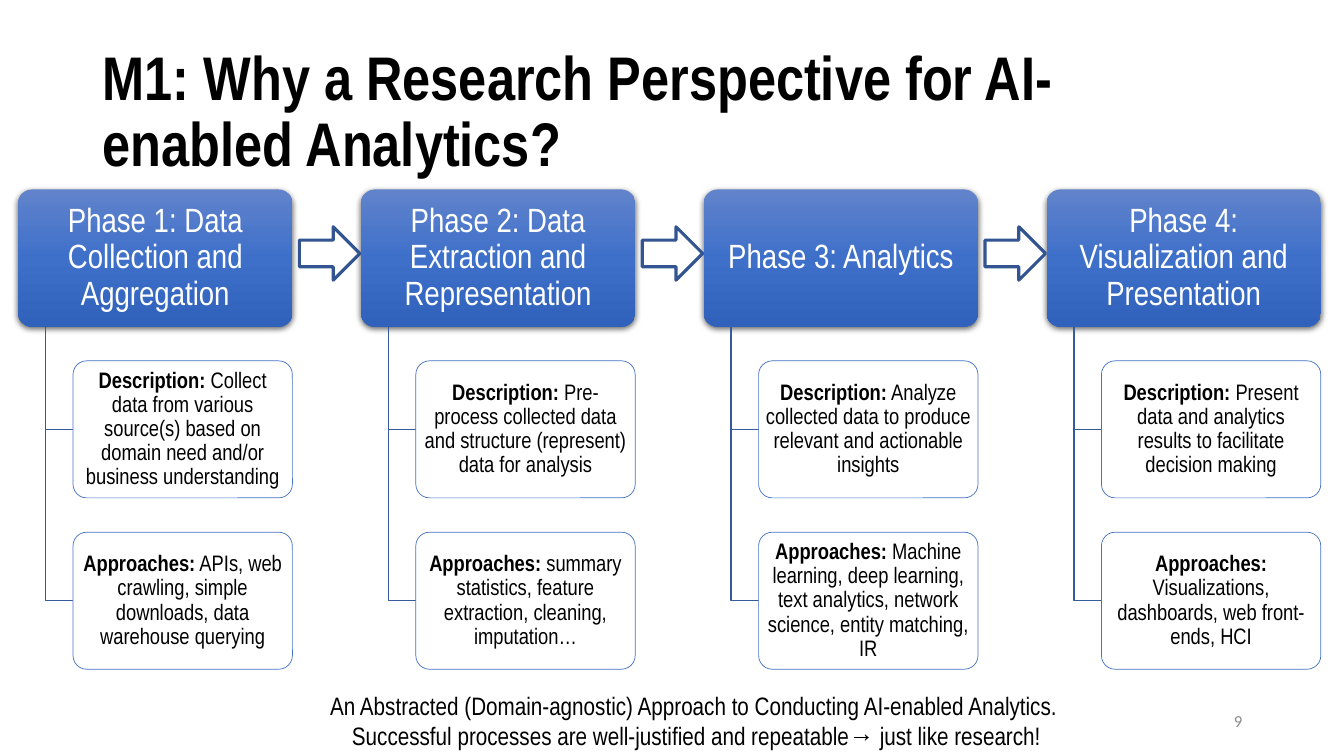
from lxml import etree
from pptx import Presentation
from pptx.dml.color import RGBColor
from pptx.enum.shapes import MSO_SHAPE
from pptx.enum.text import MSO_ANCHOR, PP_ALIGN
from pptx.oxml.ns import qn
from pptx.util import Inches, Pt

ROUNDED, ARROW = MSO_SHAPE.ROUNDED_RECTANGLE, MSO_SHAPE.RIGHT_ARROW
TOP, MIDDLE = MSO_ANCHOR.TOP, MSO_ANCHOR.MIDDLE
LEFT, CENTER, RIGHT = PP_ALIGN.LEFT, PP_ALIGN.CENTER, PP_ALIGN.RIGHT

UNIT = 0.34
GRID_LEFT, GRID_TOP = 0.18, 1.88
COL_STEP, ROW_STEP = 10 * UNIT, 5 * UNIT
BOX_W, BOX_H = 8 * UNIT, 4 * UNIT
STEM, INDENT = 0.8 * UNIT, 1.6 * UNIT
ARROW_W, ARROW_H = 0.6, 0.53
FONT = "Arial Narrow"

PHASES = [
    ("Phase 1: Data Collection and Aggregation",
     "Collect data from various source(s) based on domain need and/or business understanding",
     "APIs, web crawling, simple downloads, data warehouse querying"),
    ("Phase 2: Data Extraction and Representation",
     "Pre-process collected data and structure (represent) data for analysis",
     "summary statistics, feature extraction, cleaning, imputation…"),
    ("Phase 3: Analytics",
     "Analyze collected data to produce relevant and actionable insights",
     "Machine learning, deep learning, text analytics, network science, entity matching, IR"),
    ("Phase 4: Visualization and Presentation",
     "Present data and analytics results to facilitate decision making",
     "Visualizations, dashboards, web front-ends, HCI"),
]


def color(value):
    return RGBColor.from_string(value)


def sub(parent, tag, **attrs):
    return etree.SubElement(parent, qn(tag), attrs)


def write(sp, paragraphs, size, rgb="000000", font=FONT, align=CENTER,
          anchor=MIDDLE, spacing=None, insets=(0.1, 0.05), wrap=True):
    tf = sp.text_frame
    tf.word_wrap = wrap
    tf.vertical_anchor = anchor
    tf.margin_left = tf.margin_right = Inches(insets[0])
    tf.margin_top = tf.margin_bottom = Inches(insets[1])
    for i, runs in enumerate(paragraphs):
        p = tf.add_paragraph() if i else tf.paragraphs[0]
        p.alignment, p.line_spacing = align, spacing
        for text, bold in runs:
            r = p.add_run()
            r.text = text
            r.font.size, r.font.name, r.font.bold = Pt(size), font, bold
            r.font.color.rgb = color(rgb)


def add_text(s, box, paragraphs, size, **style):
    sp = s.shapes.add_textbox(*map(Inches, box))
    write(sp, paragraphs, size, **style)


def add_preset(s, kind, box):
    sp = s.shapes.add_shape(kind, *map(Inches, box))
    sp.shadow.inherit = False
    if kind == ROUNDED:
        sp.adjustments[0] = 0.1
    return sp


def set_line(sp, rgb, width):
    sp.line.color.rgb = color(rgb)
    sp.line.width = Pt(width)


def add_phase(s, x, title):
    sp = add_preset(s, ROUNDED, (x, GRID_TOP, BOX_W, BOX_H))
    sp.line.fill.background()
    sp.fill.gradient()
    sp.fill.gradient_angle = 270
    props = sp._element.spPr
    stops = props.find(qn("a:gradFill")).find(qn("a:gsLst"))
    for stop in list(stops):
        stops.remove(stop)
    for pos, rgb in (("0", "6183CB"), ("50000", "3E70CA"), ("100000", "3062BB")):
        sub(sub(stops, "a:gs", pos=pos), "a:srgbClr", val=rgb)
    shadow = sub(props.find(qn("a:effectLst")), "a:outerShdw", blurRad=str(Pt(4.5)),
                 dist=str(Pt(1.5)), dir="5400000", algn="ctr", rotWithShape="0")
    sub(sub(shadow, "a:srgbClr", val="000000"), "a:alpha", val="63000")
    write(sp, [[(title, False)]], 24, rgb="FFFFFF", spacing=0.9, insets=(0.05, 0.03))


def add_elbow(s, x, y_end):
    start = (Inches(x + STEM), Inches(GRID_TOP + BOX_H))
    builder = s.shapes.build_freeform(*start)
    corner = (Inches(x + STEM), Inches(y_end))
    builder.add_line_segments([corner, (Inches(x + INDENT), Inches(y_end))], close=False)
    sp = builder.convert_to_shape()
    sp.shadow.inherit = False
    sp.fill.background()
    set_line(sp, "365B9D", 1)


def add_detail(s, x, row, label, text):
    y = GRID_TOP + row * ROW_STEP
    add_elbow(s, x, y + BOX_H / 2)
    sp = add_preset(s, ROUNDED, (x + INDENT, y, BOX_W - INDENT, BOX_H))
    sp.fill.solid()
    sp.fill.fore_color.rgb = color("FFFFFF")
    fill = sp._element.spPr.find(qn("a:solidFill"))
    sub(fill[0], "a:alpha", val="90000")
    set_line(sp, "4472C4", 0.5)
    write(sp, [[(label + ":", True), (" " + text, False)]], 16,
          spacing=0.9, insets=(0.03, 0.02))


def add_arrow(s, next_x):
    sp = add_preset(s, ARROW, (next_x - ARROW_W - 0.01, 2.25, ARROW_W, ARROW_H))
    sp.fill.background()
    set_line(sp, "325491", 2.25)


def main():
    prs = Presentation()
    prs.slide_width, prs.slide_height = Inches(13.33), Inches(7.5)
    s = prs.slides.add_slide(prs.slide_layouts[6])
    add_text(s, (0.92, 0.4, 11.5, 1.45),
             [[("M1: Why a Research Perspective for AI-enabled Analytics?", True)]],
             44, align=LEFT, spacing=0.9)
    add_text(s, (9.42, 6.95, 3, 0.4), [[("9", False)]], 12,
             rgb="8C8C8C", font="Calibri", align=RIGHT)
    columns = [GRID_LEFT + i * COL_STEP for i in range(len(PHASES))]
    for x, (title, description, approaches) in zip(columns, PHASES):
        add_phase(s, x, title)
        add_detail(s, x, 1, "Description", description)
        add_detail(s, x, 2, "Approaches", approaches)
    for x in columns[1:]:
        add_arrow(s, x)
    add_text(s, (3.13, 6.8, 7.56, 0.71),
             [[("An Abstracted (Domain-agnostic) Approach to Conducting "
                "AI-enabled Analytics. ", False)],
              [("Successful processes are well-justified and repeatable→ "
                "just like research!", False)]],
             18, anchor=TOP, wrap=False)
    prs.save("out.pptx")


main()
